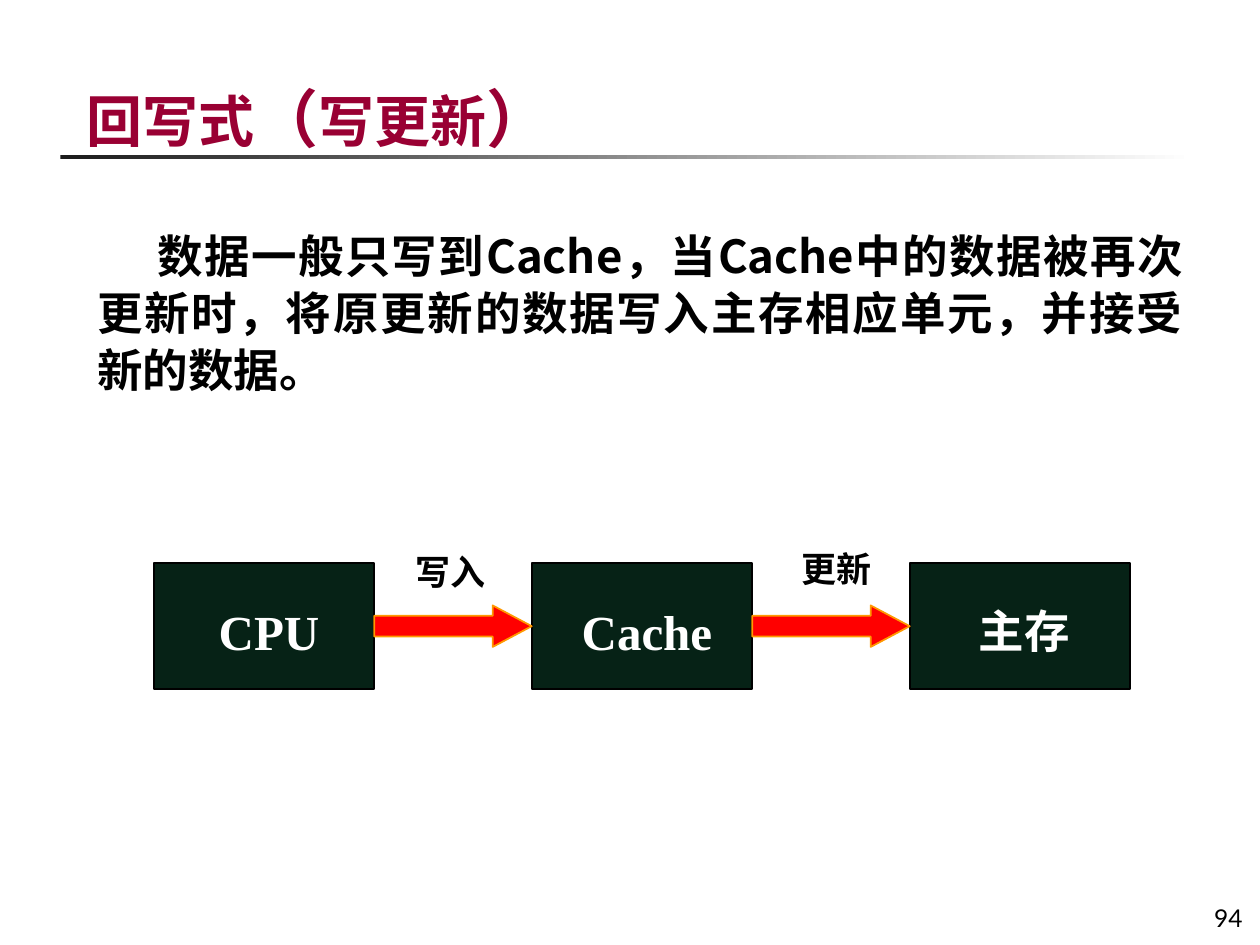
from dataclasses import dataclass

from pptx import Presentation
from pptx.dml.color import RGBColor
from pptx.enum.shapes import MSO_SHAPE as Preset
from pptx.enum.text import MSO_ANCHOR as Anchor, MSO_AUTO_SIZE as AutoSize, PP_ALIGN as Align
from pptx.oxml.ns import qn
from pptx.util import Inches, Pt

BLACK = RGBColor(0x00, 0x00, 0x00)
WHITE = RGBColor(0xFF, 0xFF, 0xFF)
CHARCOAL = RGBColor(0x1C, 0x1C, 0x1C)
CRIMSON = RGBColor(0x99, 0x00, 0x33)
DARK_GREEN = RGBColor(0x06, 0x22, 0x16)
RED = RGBColor(0xFF, 0x00, 0x00)
ORANGE = RGBColor(0xFF, 0x99, 0x00)

CJK = "Noto Sans CJK SC"
SERIF = "Times New Roman"
LATIN = "Lato"

# Flow grid in inches: a column is one stage plus the arrow after it
FLOW_LEFT, FLOW_TOP = 1.22, 4.47
STAGE_W, STAGE_H = 1.75, 1.0
ARROW_W, ARROW_H = 1.25, 0.33
COLUMN_W = STAGE_W + ARROW_W


@dataclass(frozen=True)
class Box:
    left: float
    top: float
    width: float
    height: float

    def emu(self) -> tuple:
        return tuple(Inches(v) for v in (self.left, self.top, self.width, self.height))


@dataclass(frozen=True)
class Stage:
    column: int
    name: str
    name_left: float
    name_width: float
    font: str
    size: int


@dataclass(frozen=True)
class Transfer:
    column: int
    action: str
    action_left: float
    action_top: float


STAGES = (
    Stage(0, "CPU", 0.33, 1.17, SERIF, 28),
    Stage(1, "Cache", 0.25, 1.33, SERIF, 28),
    Stage(2, "主存", 0.2, 1.42, CJK, 26),
)
TRANSFERS = (
    Transfer(0, "写入", 0.11, 4.32),
    Transfer(1, "更新", 0.17, 4.30),
)


def style_run(run, font: str, size: float, color: RGBColor, bold: bool = True) -> None:
    run.font.size, run.font.bold, run.font.name = Pt(size), bold, font
    run.font.color.rgb = color
    latin = run.font._element.find(qn("a:latin"))
    east_asian = latin.makeelement(qn("a:ea"), {"typeface": font})
    latin.addnext(east_asian)


def place(shape, box: Box) -> None:
    shape.left, shape.top, shape.width, shape.height = box.emu()


def add_preset(slide, preset, box: Box, fill: RGBColor, line: RGBColor):
    shape = slide.shapes.add_shape(preset, *box.emu())
    shape.shadow.inherit = False
    shape.fill.solid()
    shape.fill.fore_color.rgb = fill
    shape.line.color.rgb = line
    shape.line.width = Pt(1)
    return shape


def add_label(slide, text: str, box: Box, font: str, size: float, color: RGBColor,
              align=Align.CENTER, anchor=Anchor.MIDDLE, bold: bool = True) -> None:
    frame = slide.shapes.add_textbox(*box.emu()).text_frame
    frame.word_wrap = True
    frame.vertical_anchor = anchor
    frame.text = text
    paragraph = frame.paragraphs[0]
    paragraph.alignment = align
    style_run(paragraph.runs[0], font, size, color, bold)


def add_title(slide) -> None:
    title = slide.shapes.title
    place(title, Box(0.59, 0.23, 7.99, 1))
    frame = title.text_frame
    frame.auto_size = AutoSize.NONE
    frame.vertical_anchor = Anchor.BOTTOM
    frame.margin_bottom = 0
    paragraph = frame.paragraphs[0]
    paragraph.alignment = Align.LEFT
    for text, size in (("回写式", 32), ("（", 36), ("写更新", 32), ("）", 36)):
        run = paragraph.add_run()
        run.text = text
        style_run(run, CJK, size, CRIMSON)


def add_body(slide) -> None:
    body = slide.placeholders[1]
    place(body, Box(0.67, 1.7, 8.82, 1.97))
    frame = body.text_frame
    frame.auto_size = AutoSize.NONE
    frame.margin_top = Inches(0.09)
    frame.text = "数据一般只写到Cache，当Cache中的数据被再次更新时，将原更新的数据写入主存相应单元，并接受新的数据。"
    paragraph = frame.paragraphs[0]
    paragraph.alignment = Align.JUSTIFY
    paragraph.line_spacing = Pt(32.5)
    paragraph.space_before = Pt(0)
    paragraph.space_after = Pt(2)
    # First-line indent without a bullet
    properties = paragraph._p.get_or_add_pPr()
    properties.set("marL", "0")
    properties.set("indent", str(Inches(0.48)))
    properties.append(properties.makeelement(qn("a:buNone"), {}))
    style_run(paragraph.runs[0], CJK, 26, BLACK)


def add_title_rule(slide) -> None:
    rule = slide.shapes.add_shape(Preset.RECTANGLE, *Box(0.48, 1.23, 9, 0.03).emu())
    rule.shadow.inherit = False
    rule.line.fill.background()
    rule.fill.gradient()
    rule.fill.gradient_angle = 0
    for stop, color, position in zip(rule.fill.gradient_stops, (CHARCOAL, WHITE), (0, 1)):
        stop.color.rgb = color
        stop.position = position


def add_stage(slide, stage: Stage) -> None:
    left = FLOW_LEFT + stage.column * COLUMN_W
    add_preset(slide, Preset.RECTANGLE, Box(left, FLOW_TOP, STAGE_W, STAGE_H), DARK_GREEN, BLACK)
    add_label(slide, stage.name, Box(left + stage.name_left, 4.72, stage.name_width, 0.57),
              stage.font, stage.size, WHITE)


def add_transfer(slide, transfer: Transfer) -> None:
    left = FLOW_LEFT + transfer.column * COLUMN_W + STAGE_W
    top = FLOW_TOP + (STAGE_H - ARROW_H) / 2
    arrow = add_preset(slide, Preset.RIGHT_ARROW, Box(left, top, ARROW_W, ARROW_H), RED, ORANGE)
    arrow.adjustments[0], arrow.adjustments[1] = 0.5, 0.94
    add_label(slide, transfer.action,
              Box(left + transfer.action_left, transfer.action_top, 1, 0.43), CJK, 20, BLACK)


def main() -> None:
    deck = Presentation()
    deck.slide_width, deck.slide_height = Inches(10), Inches(7.5)
    slide = deck.slides.add_slide(deck.slide_layouts[1])

    # Heading, explanation and page number
    add_title_rule(slide)
    add_title(slide)
    add_body(slide)
    add_label(slide, "94", Box(9.27, 6.95, 0.69, 0.5), LATIN, 14, BLACK,
              Align.RIGHT, Anchor.BOTTOM, bold=False)

    # Write-back flow
    for stage in STAGES:
        add_stage(slide, stage)
    for transfer in TRANSFERS:
        add_transfer(slide, transfer)

    deck.save("out.pptx")


if __name__ == "__main__":
    main()
